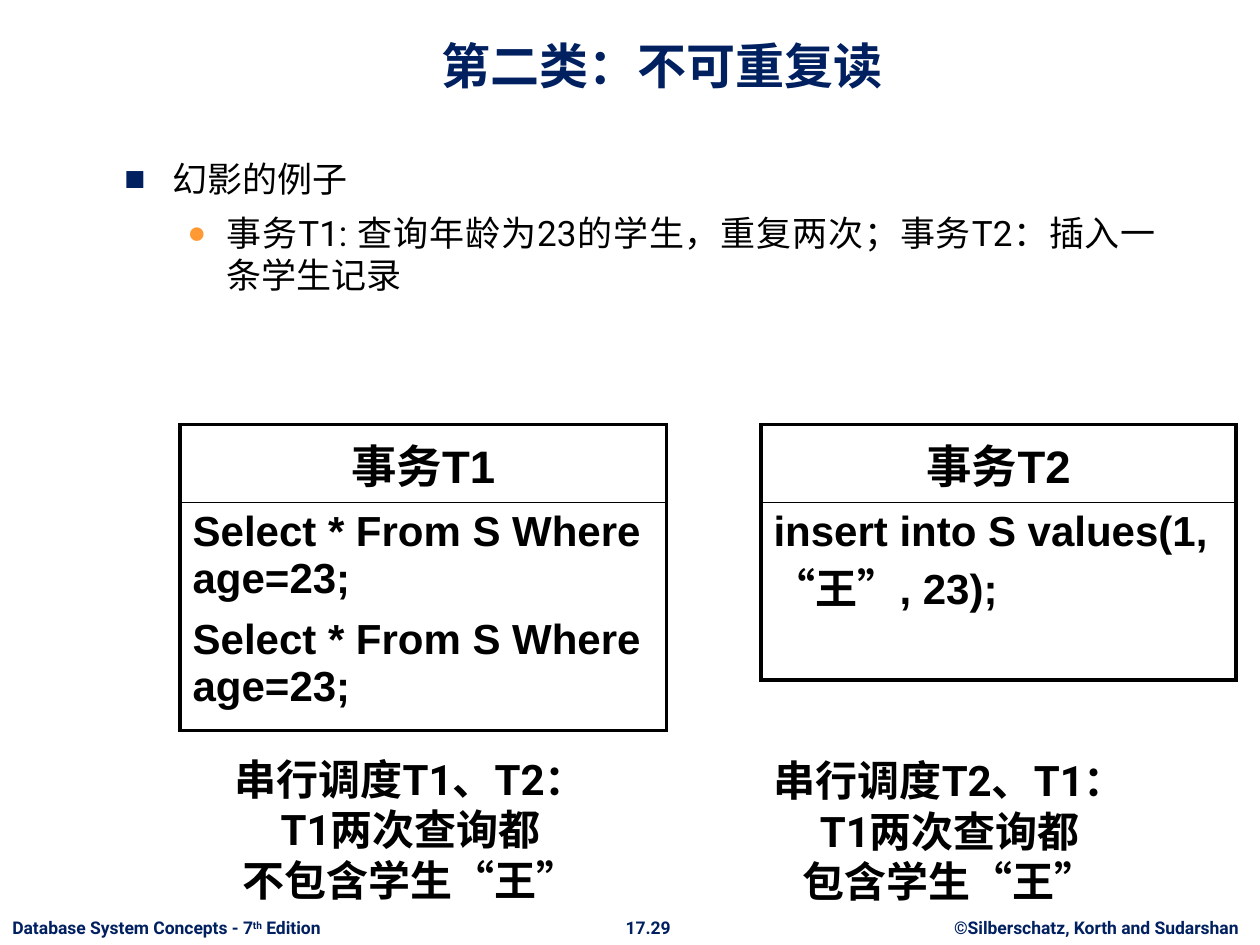
"""Build the slide on non-repeatable reads and the phantom example."""
import lxml.etree
import pptx
import pptx.dml.color
import pptx.enum.shapes
import pptx.enum.text
import pptx.oxml.ns
import pptx.util

Cm = pptx.util.Cm
Pt = pptx.util.Pt
ALIGN = pptx.enum.text.PP_ALIGN
ANCHOR = pptx.enum.text.MSO_ANCHOR
FIT = pptx.enum.text.MSO_AUTO_SIZE
qn = pptx.oxml.ns.qn

NAVY = pptx.dml.color.RGBColor(0x00, 0x20, 0x60)
ORANGE = pptx.dml.color.RGBColor(0xFF, 0x99, 0x33)
BLACK = pptx.dml.color.RGBColor(0x00, 0x00, 0x00)
WHITE = pptx.dml.color.RGBColor(0xFF, 0xFF, 0xFF)

TITLE_FONT = {"size": Pt(28), "name": "Roboto", "bold": True, "color": NAVY}
FOOTER_FONT = {"size": Pt(10), "name": "Roboto", "bold": True, "color": NAVY}
BODY_FONT = {"size": Pt(20), "name": "Roboto", "bold": False, "color": BLACK}
HEADER_FONT = {"size": Pt(26), "name": "Arial", "bold": True, "color": BLACK}
SQL_FONT = {"size": Pt(24), "name": "Arial", "bold": True, "color": BLACK}
QUOTE_FONT = {**SQL_FONT, "name": "Roboto"}


def set_format(target, values):
    """Set each value on the target, treating a colour as a font colour."""
    for key, value in values.items():
        if key == "color":
            target.color.rgb = value
        else:
            setattr(target, key, value)


def write(paragraph, pieces, layout):
    """Add (text, font) pieces to a paragraph and lay it out."""
    set_format(paragraph, layout)
    for text, font in pieces:
        run = paragraph.add_run()
        run.text = text
        set_format(run.font, font)


def add_text_box(slide, box, wrap):
    """Add an empty text box and return its frame."""
    frame = slide.shapes.add_textbox(*map(Cm, box)).text_frame
    frame.word_wrap = wrap
    return frame


def add_title(slide, text):
    """Place and format the title placeholder."""
    title = slide.shapes.title
    box = zip(("left", "top", "width", "height"), (2.13, 0.33, 22.43, 1.7))
    set_format(title, {side: Cm(length) for side, length in box})
    frame = title.text_frame
    set_format(frame, {"vertical_anchor": ANCHOR.BOTTOM, "auto_size": FIT.NONE})
    write(frame.paragraphs[0], [(text, TITLE_FONT)], {"alignment": ALIGN.CENTER})


def add_footer(slide, left, width, texts, align):
    """Add one footer text; a second piece is raised."""
    frame = add_text_box(slide, (left, 18.36, width, 0.69), False)
    frame.auto_size = FIT.SHAPE_TO_FIT_TEXT
    footer = frame.paragraphs[0]
    write(footer, [(text, FOOTER_FONT) for text in texts], {"alignment": align})
    for raised in footer.runs[1:2]:
        raised.font._element.set("baseline", "30000")


def set_bullet(paragraph, symbol, color, percent, margin, hanging):
    """Give a paragraph a coloured bullet with a hanging indent."""
    properties = paragraph._p.get_or_add_pPr()
    properties.set("marL", str(Cm(margin)))
    properties.set("indent", str(-Cm(hanging)))
    bullet_color = lxml.etree.SubElement(properties, qn("a:buClr"))
    lxml.etree.SubElement(bullet_color, qn("a:srgbClr"), val=str(color))
    lxml.etree.SubElement(properties, qn("a:buSzPct"), val=str(percent * 1000))
    lxml.etree.SubElement(properties, qn("a:buFont"), typeface="Arial")
    lxml.etree.SubElement(properties, qn("a:buChar"), char=symbol)


def add_example(slide):
    """Add the bulleted description of the phantom example."""
    frame = add_text_box(slide, (2.26, 3.05, 21.29, 13.61), True)
    points = [
        ("幻影的例子", ("■", NAVY, 100, 0.97, 0.97)),
        ("事务T1: 查询年龄为23的学生，重复两次；事务T2：插入一条学生记录",
         ("●", ORANGE, 90, 2.06, 0.79)),
    ]
    for level, (text, bullet) in enumerate(points):
        point = frame.add_paragraph() if level else frame.paragraphs[0]
        write(point, [(text, BODY_FONT)],
              {"level": level, "alignment": ALIGN.JUSTIFY, "space_before": Pt(7)})
        set_bullet(point, *bullet)


def set_borders(cell, top, bottom):
    """Draw thick sides and the given top and bottom lines around a cell."""
    properties = cell._tc.get_or_add_tcPr()
    for side, width in {"L": 2.25, "R": 2.25, "T": top, "B": bottom}.items():
        line = lxml.etree.SubElement(properties, qn("a:ln" + side), w=str(Pt(width)))
        fill = lxml.etree.SubElement(line, qn("a:solidFill"))
        lxml.etree.SubElement(fill, qn("a:srgbClr"), val=str(BLACK))
    cell.fill.background()


def add_transaction(slide, left, width, sql_height, name, statements):
    """Add a transaction table with its name above its statements."""
    heights = [Cm(1.57), Cm(sql_height)]
    table = slide.shapes.add_table(
        2, 1, Cm(left), Cm(8.56), Cm(width), sum(heights)).table
    set_format(table, {"first_row": False, "horz_banding": False})
    for row, height in zip(table.rows, heights):
        row.height = height
    header, body = table.cell(0, 0), table.cell(1, 0)
    set_borders(header, 2.25, 1)
    set_borders(body, 1, 2.25)
    write(header.text_frame.paragraphs[0], [(name, HEADER_FONT)],
          {"alignment": ALIGN.CENTER, "space_before": Pt(9)})
    for index, pieces in enumerate(statements):
        frame = body.text_frame
        statement = frame.add_paragraph() if index else frame.paragraphs[0]
        write(statement, pieces, {"space_before": Pt(8)})


def add_outcome(slide, left, top, lines):
    """Add a callout stating what a serial schedule returns."""
    callout = slide.shapes.add_shape(
        pptx.enum.shapes.MSO_SHAPE.ROUNDED_RECTANGULAR_CALLOUT,
        Cm(left), Cm(top), Cm(7.62), Cm(3.5))
    for index, value in enumerate((0.03, 0.14, 0.17)):
        callout.adjustments[index] = value
    callout.shadow.inherit = False
    callout.fill.solid()
    callout.fill.fore_color.rgb = WHITE
    callout.line.fill.background()
    frame = callout.text_frame
    set_format(frame, {"word_wrap": False, "vertical_anchor": ANCHOR.MIDDLE})
    outcome = frame.paragraphs[0]
    for index, line in enumerate(lines):
        if index:
            outcome.add_line_break()
        write(outcome, [(line, QUOTE_FONT)],
              {"alignment": ALIGN.CENTER, "space_before": Pt(8)})


def main():
    """Build and save the slide."""
    deck = pptx.Presentation()
    set_format(deck, {"slide_width": Cm(25.4), "slide_height": Cm(19.05)})
    slide = deck.slides.add_slide(deck.slide_layouts[5])
    add_title(slide, "第二类：不可重复读")
    add_footer(slide, 18.8, 6.6, ["©Silberschatz, Korth and Sudarshan"], ALIGN.CENTER)
    add_footer(slide, 12.34, 1.45, ["17.29"], ALIGN.CENTER)
    add_footer(slide, 0, 7.14,
               ["Database System Concepts - 7", "th", " Edition"], ALIGN.LEFT)
    add_example(slide)
    insert = [("insert into S values(1, ", SQL_FONT), ("“", QUOTE_FONT),
              ("王", SQL_FONT), ("”", QUOTE_FONT), (", 23);", SQL_FONT)]
    query = [("Select * From S Where age=23;", SQL_FONT)]
    add_transaction(slide, 15.34, 9.58, 3.58, "事务T2", [insert])
    add_transaction(slide, 3.63, 9.8, 4.5, "事务T1", [query, query])
    add_outcome(slide, 4.47, 14.96,
                ["串行调度T1、T2：", "T1两次查询都", "不包含学生“王”"])
    add_outcome(slide, 15.34, 14.99,
                ["串行调度T2、T1：", "T1两次查询都", "包含学生“王”"])
    deck.save("out.pptx")


if __name__ == "__main__":
    main()
